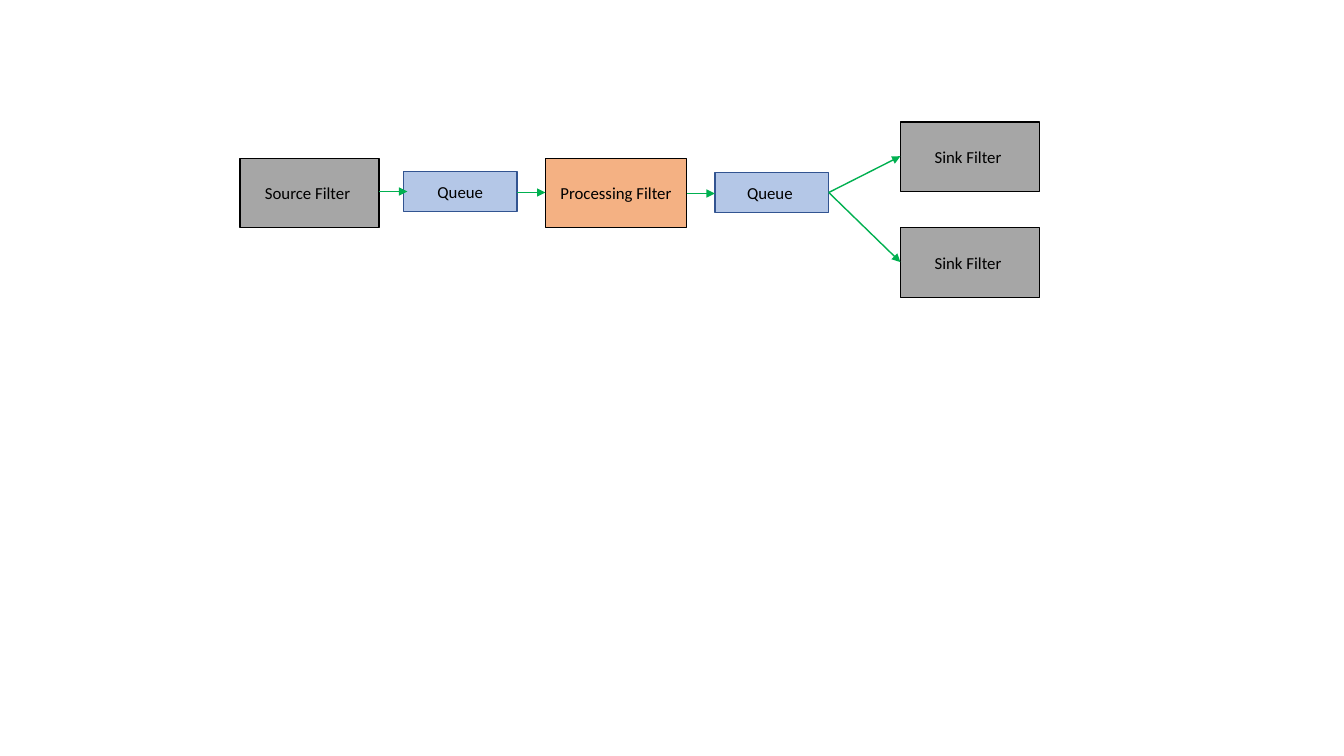
from pptx import Presentation
from pptx.dml.color import RGBColor
from pptx.enum.shapes import MSO_CONNECTOR, MSO_SHAPE
from pptx.enum.text import MSO_ANCHOR, PP_ALIGN
from pptx.oxml.ns import qn
from pptx.util import Inches, Pt
from lxml import etree

RECTANGLE = MSO_SHAPE.RECTANGLE
STRAIGHT = MSO_CONNECTOR.STRAIGHT
MIDDLE = MSO_ANCHOR.MIDDLE
CENTER = PP_ALIGN.CENTER

BLACK = "000000"
GREEN = "00B050"
KINDS = {
    "endpoint": {"size": (1.38, 0.69), "fill": "A6A6A6", "line": BLACK},
    "processing": {"size": (1.4, 0.69), "fill": "F4B183", "line": BLACK},
    "queue": {"size": (1.13, 0.4), "fill": "B4C7E7", "line": "325491"},
}
BOXES = [
    ("Queue", "queue", 4, 1.7),
    ("Source Filter ", "endpoint", 2.38, 1.57),
    ("Processing Filter", "processing", 5.41, 1.57),
    ("Queue ", "queue", 7.09, 1.71),
    ("Sink Filter ", "endpoint", 8.93, 1.21),
    ("Sink Filter ", "endpoint", 8.93, 2.26),
]
ARROWS = [
    (3.76, 1.9, 4.04, 1.9),
    (5.13, 1.91, 5.41, 1.91),
    (6.81, 1.92, 7.09, 1.92),
    (8.22, 1.91, 8.93, 1.55),
    (8.22, 1.91, 8.93, 2.6),
]


def color(value):
    return RGBColor.from_string(value)


class PipelineSlide:
    """Draws pipeline boxes and arrows on one slide in a shared style."""

    font_format = {"name": "Calibri", "size": Pt(12)}
    frame_format = {"word_wrap": True, "vertical_anchor": MIDDLE}
    line_width = Pt(1)

    def __init__(self, presentation):
        self.slide = presentation.slides.add_slide(presentation.slide_layouts[6])

    def apply(self, target, values):
        for name, value in values.items():
            setattr(target, name, value)

    def outline(self, line, value):
        line.color.rgb = color(value)
        line.width = self.line_width

    def box(self, text, kind, left, top):
        style = KINDS[kind]
        width, height = style["size"]
        shape = self.slide.shapes.add_shape(
            RECTANGLE, Inches(left), Inches(top), Inches(width), Inches(height)
        )
        shape.shadow.inherit = False
        shape.fill.solid()
        shape.fill.fore_color.rgb = color(style["fill"])
        self.outline(shape.line, style["line"])
        self.apply(shape.text_frame, self.frame_format)
        paragraph = shape.text_frame.paragraphs[0]
        paragraph.alignment = CENTER
        run = paragraph.add_run()
        run.text = text
        self.apply(run.font, self.font_format)
        run.font.color.rgb = color(BLACK)

    def arrow(self, *ends):
        connector = self.slide.shapes.add_connector(STRAIGHT, *map(Inches, ends))
        self.outline(connector.line, GREEN)
        properties = connector.element.spPr
        line = properties.find(qn("a:ln"))
        etree.SubElement(line, qn("a:tailEnd"), type="triangle")
        etree.SubElement(properties, qn("a:effectLst"))


def main():
    presentation = Presentation()
    presentation.slide_width = Inches(13.33)
    presentation.slide_height = Inches(7.5)
    pipeline = PipelineSlide(presentation)
    for box in BOXES:
        pipeline.box(*box)
    for arrow in ARROWS:
        pipeline.arrow(*arrow)
    presentation.save("out.pptx")


if __name__ == "__main__":
    main()
